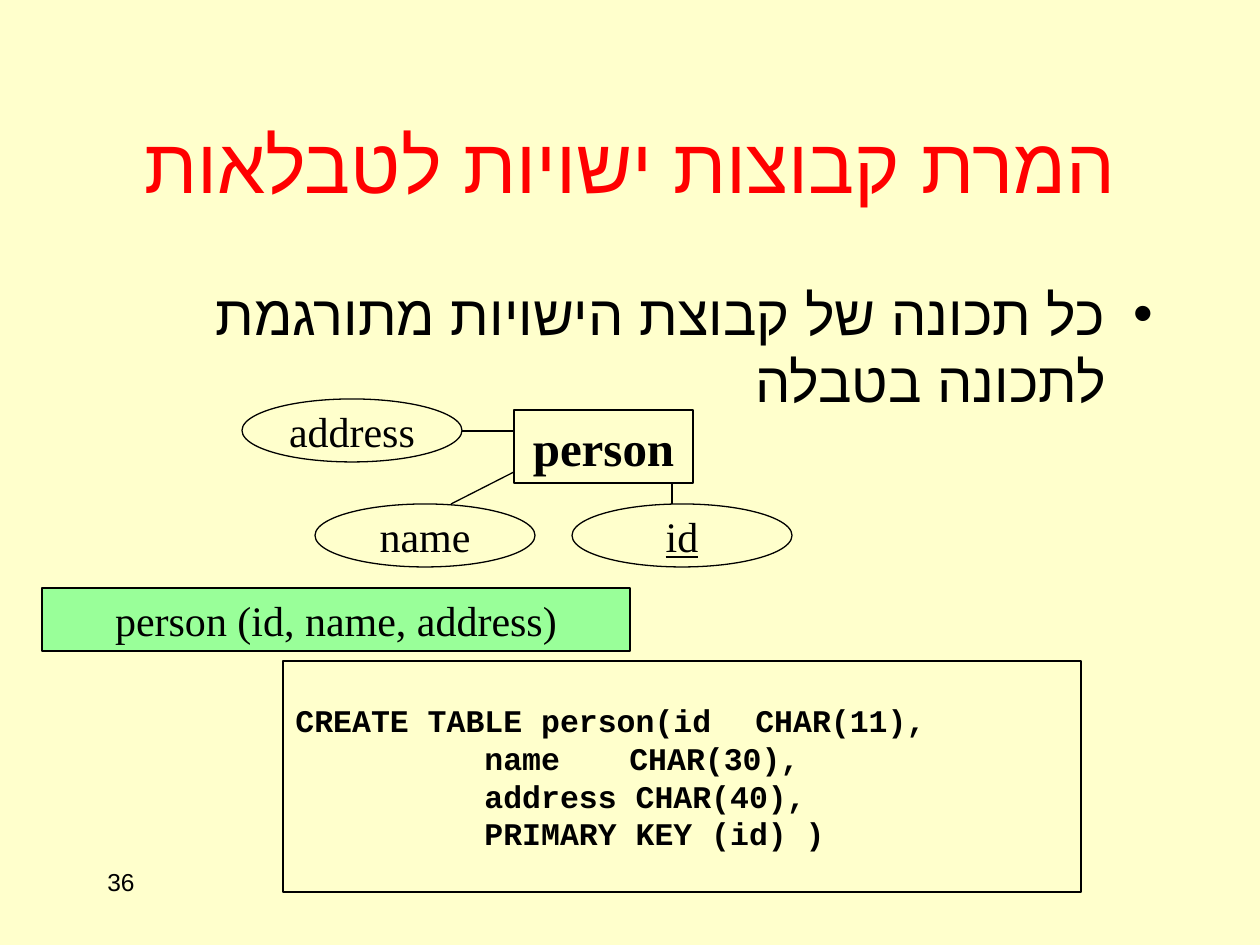
"""Build a slide on turning an entity set into a database table."""
from lxml import etree
from pptx import Presentation, util as u
from pptx.dml.color import RGBColor
from pptx.enum import shapes, text
from pptx.oxml import ns

PX = u.Inches(1) / 126
CREAM = RGBColor(0xFF, 0xFF, 0xCC)
GREEN = RGBColor(0x99, 0xFF, 0x99)
RED = RGBColor(0xFF, 0x00, 0x00)
BLACK = RGBColor(0x00, 0x00, 0x00)
SERIF, SANS, MONO = "Times New Roman", "Arial", "Courier New"
LEFT, CENTER, RIGHT = text.PP_ALIGN.LEFT, text.PP_ALIGN.CENTER, text.PP_ALIGN.RIGHT
RECTANGLE, OVAL = shapes.MSO_SHAPE.RECTANGLE, shapes.MSO_SHAPE.OVAL

TITLE = "המרת קבוצות ישויות לטבלאות"
BODY = "כל תכונה של קבוצת הישויות מתורגמת לתכונה בטבלה"
NUMBER = "36"
CODE = [
    "CREATE TABLE person(id \t CHAR(11),",
    "\t\t\tname \t CHAR(30),",
    "\t\t\taddress CHAR(40),",
    "\t\t\tPRIMARY KEY (id) )",
]
ATTRIBUTE_SIZE = (220, 63)
ATTRIBUTES = [("name", 315, 504, False), ("id", 572, 504, True), ("address", 242, 399, False)]
LINKS = [(514, 472, 451, 504), (672, 483, 672, 504), (514, 431, 462, 431)]


def emu(*lengths):
    return [u.Emu(round(length * PX)) for length in lengths]


def place(shape, *box):
    shape.left, shape.top, shape.width, shape.height = emu(*box)


def write(shape, lines, size, font=SERIF, color=BLACK, align=CENTER, rtl=True,
          bold=False, underline=False, complex_font=None):
    frame = shape.text_frame
    for index, line in enumerate(lines):
        paragraph = frame.add_paragraph() if index else frame.paragraphs[0]
        paragraph.alignment = align
        if rtl:
            paragraph._p.get_or_add_pPr().set("rtl", "1")
        run = paragraph.add_run()
        run.text = line
        run.font.name, run.font.size = font, u.Pt(size)
        run.font.bold, run.font.underline = bold, underline
        run.font.color.rgb = color
        script = etree.SubElement(run._r.get_or_add_rPr(), ns.qn("a:cs"))
        script.set("typeface", complex_font or font)


def add_box(slide, kind, box, lines, size, fill=CREAM, wrap=False, **style):
    shape = slide.shapes.add_shape(kind, *emu(*box))
    shape.shadow.inherit = False
    shape.fill.solid()
    shape.fill.fore_color.rgb = fill
    shape.line.color.rgb = BLACK
    shape.line.width = u.Pt(0.75)
    shape.text_frame.word_wrap = wrap
    shape.text_frame.vertical_anchor = text.MSO_ANCHOR.MIDDLE
    write(shape, lines, size, **style)


def add_link(slide, *ends):
    link = slide.shapes.add_connector(shapes.MSO_CONNECTOR.STRAIGHT, *emu(*ends))
    link.line.color.rgb = BLACK
    link.line.width = u.Pt(0.75)
    etree.SubElement(link._element.spPr, ns.qn("a:effectLst"))


def main():
    presentation = Presentation()
    presentation.slide_width, presentation.slide_height = emu(1260, 945)
    slide = presentation.slides.add_slide(presentation.slide_layouts[1])
    slide.background.fill.solid()
    slide.background.fill.fore_color.rgb = CREAM

    number = slide.shapes.add_textbox(*emu(95, 861, 262, 63))
    number.text_frame.word_wrap = True
    write(number, [NUMBER], 14, align=LEFT, complex_font=SANS)

    title, body = slide.shapes.title, slide.placeholders[1]
    place(title, 95, 84, 1071, 158)
    place(body, 95, 273, 1071, 567)
    for placeholder in (title, body):
        placeholder.text_frame.auto_size = text.MSO_AUTO_SIZE.NONE
    title.text_frame.vertical_anchor = text.MSO_ANCHOR.MIDDLE
    write(title, [TITLE], 44, font=SANS, color=RED)
    write(body, [BODY], 32, font=SANS, align=RIGHT)
    body.text_frame.paragraphs[0].space_before = u.Pt(8)

    add_box(slide, RECTANGLE, (514, 410, 179, 73), ["person"], 28, bold=True)
    for name, left, top, is_key in ATTRIBUTES:
        add_box(slide, OVAL, (left, top, *ATTRIBUTE_SIZE), [name], 24, underline=is_key)
    for ends in LINKS:
        add_link(slide, *ends)
    add_box(slide, RECTANGLE, (42, 588, 588, 63), ["person (id, name, address)"], 24, fill=GREEN)
    add_box(slide, RECTANGLE, (283, 661, 798, 231), CODE, 18, wrap=True,
            font=MONO, align=LEFT, rtl=False, bold=True)
    presentation.save("out.pptx")


if __name__ == "__main__":
    main()
